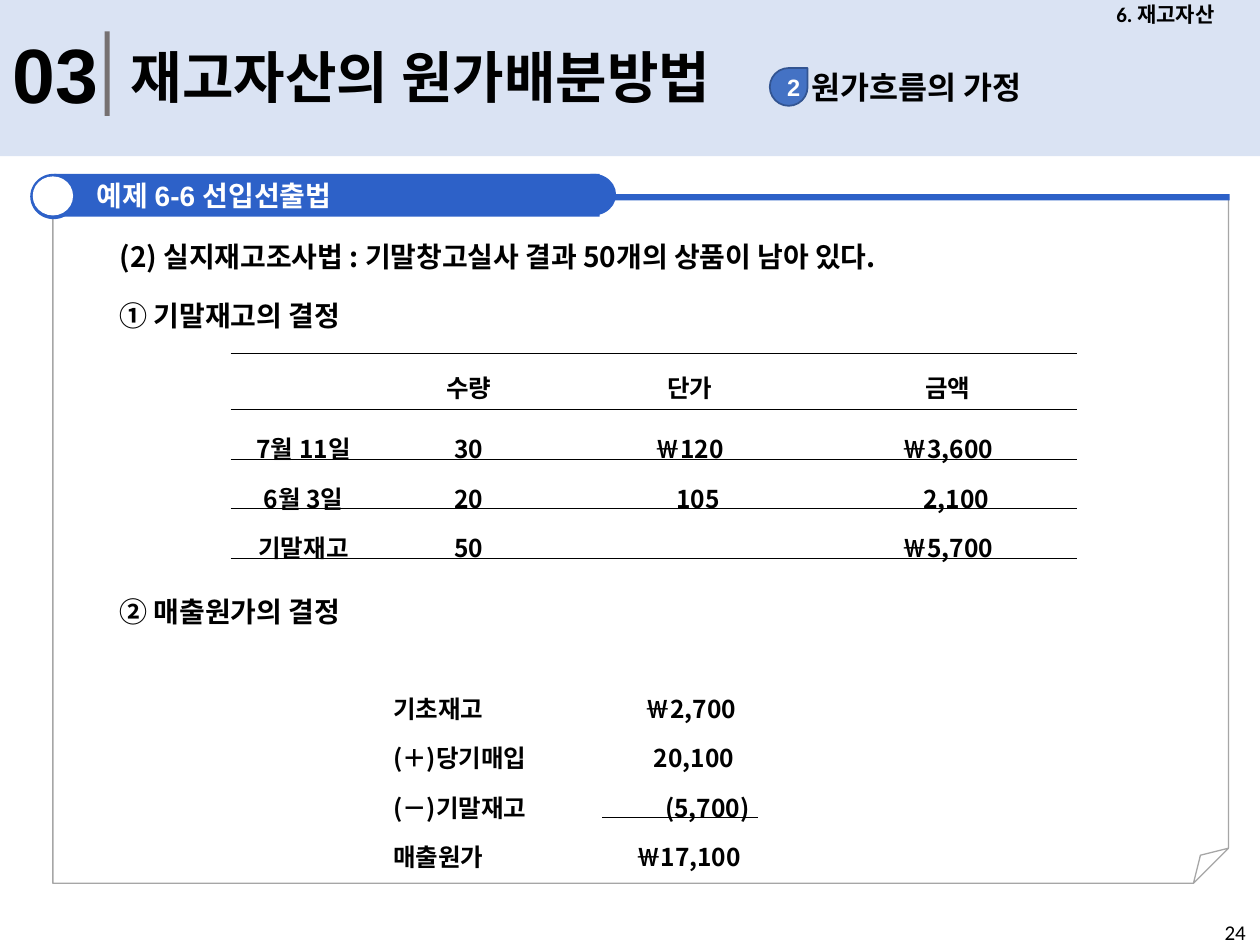
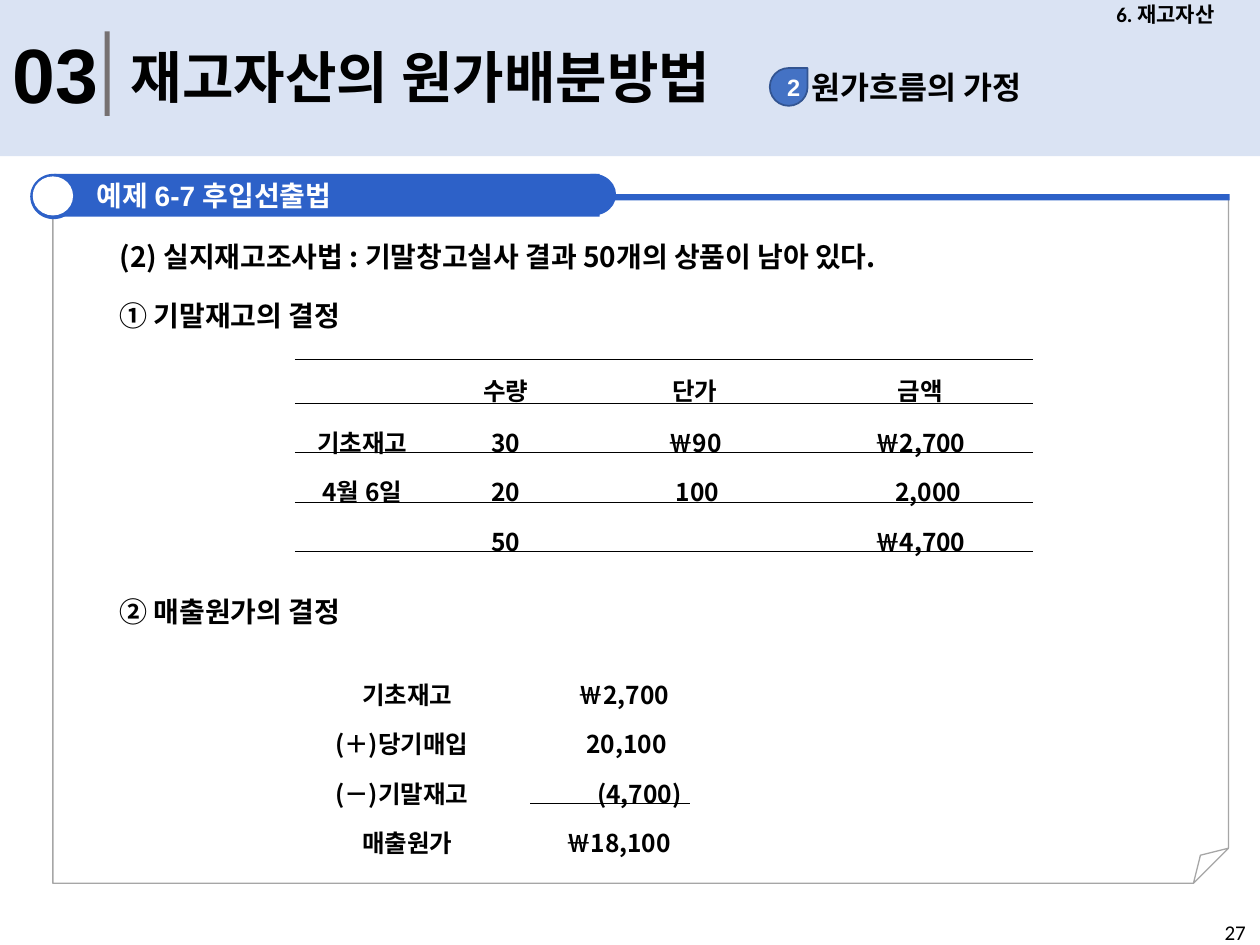
import pptx
import pptx.dml.color
import pptx.enum.shapes
import pptx.enum.text
import pptx.oxml
import pptx.oxml.ns
import pptx.util
from pptx.util import Inches

SHAPE = pptx.enum.shapes.MSO_SHAPE
ALIGN = pptx.enum.text.PP_ALIGN
MIDDLE = pptx.enum.text.MSO_ANCHOR.MIDDLE

COLORS = {
    "band": "DAE3F3", "badge": "4472C4", "badge_line": "325491", "rule": "767171",
    "accent": "2D61C8", "frame": "A6A6A6", "text": "000000", "white": "FFFFFF",
}
KOREAN = "Noto Sans CJK KR"
NO_GRID_STYLE = "{2D5ABB26-0587-4C30-8999-92F81FD0307C}"
SPACE_WIDTH = 0.043

EXAMPLES = [
    {
        "method": "6-6 선입선출법", "page": 24,
        "inventory": {
            "at": (1.83, 2.8), "columns": [1.16, 1.46, 2.05, 2.05], "header_height": 0.45,
            "rows": [
                ["", "수량", "단가", "금액"],
                ["7월 11일", "30", "￦120", "￦3,600"],
                ["6월 3일", "20", "105", "2,100"],
                ["기말재고", "50", "", "￦5,700"],
            ],
            "shifts": {(2, 2): 3, (2, 3): 3},
        },
        "cost": {
            "at": (3.05, 5.31), "columns": [1.73, 1.24],
            "amounts": ["￦2,700", "20,100", "(5,700)", "￦17,100"],
            "shifts": {(0, 1): 4, (1, 1): 5, (3, 1): 3},
        },
    },
    {
        "method": "6-7 후입선출법", "page": 27,
        "inventory": {
            "at": (2.34, 2.85), "columns": [1.07, 1.21, 1.79, 1.79], "header_height": 0.35,
            "rows": [
                ["", "수량", "단가", "금액"],
                ["기초재고", "30", "￦90", "￦2,700"],
                ["4월 6일", "20", "100", "2,000"],
                ["", "50", "", "￦4,700"],
            ],
            "shifts": {(2, 2): 1, (2, 3): 3},
        },
        "cost": {
            "at": (2.59, 5.2), "columns": [1.62, 1.27],
            "amounts": ["￦2,700", "20,100", "(4,700)", "￦18,100"],
            "shifts": {(0, 0): 5, (3, 0): 5, (0, 1): 5, (1, 1): 6, (3, 1): 3},
        },
    },
]
COST_LABELS = ["기초재고", "(＋)당기매입", "(－)기말재고", "매출원가"]


def rgb(name):
    return pptx.dml.color.RGBColor.from_string(COLORS[name])


def format_run(run, size, font=KOREAN, color="text", bold=True):
    run.font.size = pptx.util.Pt(size)
    run.font.bold = bold
    run.font.name = font
    run.font.color.rgb = rgb(color)
    east_asian = pptx.oxml.parse_xml(
        f'<a:ea {pptx.oxml.ns.nsdecls("a")} typeface="{KOREAN}"/>')
    run.font._element.find(pptx.oxml.ns.qn("a:latin")).addnext(east_asian)


def add_shape(slide, kind, box, fill=None, line=None, line_width=1):
    shape = slide.shapes.add_shape(kind, *map(Inches, box))
    shape.shadow.inherit = False
    if fill:
        shape.fill.solid()
        shape.fill.fore_color.rgb = rgb(fill)
    else:
        shape.fill.background()
    if line:
        shape.line.color.rgb = rgb(line)
        shape.line.width = pptx.util.Pt(line_width)
    else:
        shape.line.fill.background()
    return shape


def add_text(slide, box, text, size, font=KOREAN, bold=True):
    text_box = slide.shapes.add_textbox(*map(Inches, box))
    text_frame = text_box.text_frame
    text_frame.word_wrap = True
    text_frame.text = text
    for paragraph in text_frame.paragraphs:
        format_run(paragraph.runs[0], size, font, bold=bold)
    return text_frame


def add_header(slide, left, top, width, height):
    add_shape(slide, SHAPE.RECTANGLE, (left, top, width, height), "band")
    add_text(slide, (left + 6.34, top + 0.49, 3.09, 0.4), "원가흐름의 가정", 18)

    badge = add_shape(slide, SHAPE.TEAR, (left + 6.11, top + 0.54, 0.3, 0.3),
                      "badge", "badge_line")
    text_frame = badge.text_frame
    text_frame.margin_left = Inches(0.08)
    text_frame.margin_right = text_frame.margin_top = text_frame.margin_bottom = 0
    text_frame.word_wrap = False
    text_frame.vertical_anchor = MIDDLE
    text_frame.text = "2"
    text_frame.paragraphs[0].alignment = ALIGN.CENTER
    format_run(text_frame.paragraphs[0].runs[0], 13.5, "Arial", "white")

    add_text(slide, (left, top + 0.16, 0.91, 0.84), "03", 44, "Arial")
    add_shape(slide, SHAPE.RECTANGLE, (left + 0.83, top + 0.25, 0.04, 0.67), "rule")
    add_text(slide, (left + 0.94, top + 0.29, 6.58, 0.64),
             "재고자산의 원가배분방법", 32, "Calibri")
    chapter = add_text(slide, (left + 8.5, top, 1.5, 0.23), "6. 재고자산", 12, "Calibri")
    chapter.vertical_anchor = MIDDLE
    chapter.paragraphs[0].alignment = ALIGN.CENTER


def add_example_frame(slide, left, top, width, height, method):
    """Folded page with the example's title tab on its upper edge."""
    page = add_shape(slide, SHAPE.FOLDED_CORNER,
                     (left + 0.18, top + 0.18, width, height), line="frame", line_width=0.75)
    geometry = page._element.spPr.find(pptx.oxml.ns.qn("a:prstGeom"))
    geometry.get_or_add_avLst().append(pptx.oxml.parse_xml(
        f'<a:gd {pptx.oxml.ns.nsdecls("a")} name="adj" fmla="val 5100"/>'))
    add_shape(slide, SHAPE.RECTANGLE, (left + 0.19, top + 0.16, width, 0.05), "accent")
    add_shape(slide, SHAPE.OVAL, (left, top, 0.37, 0.36), "accent")
    add_shape(slide, SHAPE.OVAL, (left + 4.29, top, 0.36, 0.33), "accent")
    tab = add_shape(slide, SHAPE.RECTANGLE, (left + 0.19, top, 4.33, 0.34), "accent")
    add_shape(slide, SHAPE.OVAL, (left + 0.02, top + 0.02, 0.32, 0.31), "white")

    tab.text_frame.margin_left = Inches(0.34)
    tab.text_frame.vertical_anchor = MIDDLE
    paragraph = tab.text_frame.paragraphs[0]
    paragraph.alignment = ALIGN.LEFT
    for text, font in [("예제 ", "Calibri"), (method, "Arial")]:
        run = paragraph.add_run()
        run.text = text
        format_run(run, 16, font, "white")


def add_steps(slide, left, top, width, height):
    steps = ["(2) 실지재고조사법 : 기말창고실사 결과 50개의 상품이 남아 있다.",
             "① 기말재고의 결정", "② 매출원가의 결정"]
    text_frame = add_text(slide, (left, top, width, height), "\n".join(steps), 16)
    text_frame.margin_left = text_frame.margin_right = Inches(0.11)
    for paragraph, gap in zip(text_frame.paragraphs[1:], [14.5, 150]):
        paragraph.space_before = pptx.util.Pt(gap)


def add_border(cell, side):
    cell._tc.get_or_add_tcPr().append(pptx.oxml.parse_xml(
        f'<a:ln{side} {pptx.oxml.ns.nsdecls("a")} w="3556"><a:solidFill>'
        f'<a:srgbClr val="{COLORS["text"]}"/></a:solidFill></a:ln{side}>'))


def add_ruled_table(slide, at, columns, heights, rows, shifts, align, line_spacing, borders):
    """Table with rules only; align(row, column) and line_spacing(row) style the text,
    borders(row, column) names the ruled sides, and shifts push text right by spaces."""
    frame = slide.shapes.add_table(len(rows), len(columns), *map(
        Inches, (*at, sum(columns), sum(heights))))
    table = frame.table
    table.first_row = table.horz_banding = False
    table._tbl.tblPr.find(pptx.oxml.ns.qn("a:tableStyleId")).text = NO_GRID_STYLE
    for column, width in zip(table.columns, columns):
        column.width = Inches(width)
    for row, height in zip(table.rows, heights):
        row.height = Inches(height)
    for row, texts in enumerate(rows):
        for column, text in enumerate(texts):
            cell = table.cell(row, column)
            for side in borders(row, column):
                add_border(cell, side)
            cell.fill.background()
            cell.vertical_anchor = MIDDLE
            cell.margin_left = Inches(0.07 + SPACE_WIDTH * shifts.get((row, column), 0))
            cell.margin_right = Inches(0.07)
            cell.margin_top = cell.margin_bottom = Inches(0.02)
            if text:
                cell.text_frame.text = text
                paragraph = cell.text_frame.paragraphs[0]
                paragraph.alignment = align(row, column)
                paragraph.line_spacing = line_spacing(row)
                format_run(paragraph.runs[0], 14)


def add_inventory_table(slide, at, columns, header_height, rows, shifts):
    sides = ["TB", "T", "B", "TB"]
    add_ruled_table(slide, at, columns, [header_height] + [0.39] * 3, rows, shifts,
                    align=lambda row, column: ALIGN.CENTER,
                    line_spacing=lambda row: 1.51 if row else 1.3,
                    borders=lambda row, column: sides[row])


def add_cost_table(slide, at, columns, amounts, shifts):
    def align(row, column):
        if column == 0:
            return ALIGN.JUSTIFY
        return ALIGN.RIGHT if row == 2 else ALIGN.CENTER

    add_ruled_table(slide, at, columns, [0.39] * 4, list(zip(COST_LABELS, amounts)), shifts,
                    align=align,
                    line_spacing=lambda row: 1.51,
                    borders=lambda row, column: {(2, 1): "B", (3, 1): "T"}.get(
                        (row, column), ""))


def add_page_number(slide, left, top, width, height, number):
    text_frame = add_text(slide, (left, top, width, height), str(number), 12,
                          "Calibri", bold=False)
    text_frame.margin_right = 0


def add_example_slide(presentation, example):
    slide = presentation.slides.add_slide(presentation.slide_layouts[6])
    add_header(slide, 0, 0, 10, 1.24)
    add_example_frame(slide, 0.24, 1.38, 9.33, 5.45, example["method"])
    add_steps(slide, 0.84, 1.85, 8.5, 4.95)
    add_inventory_table(slide, **example["inventory"])
    add_cost_table(slide, **example["cost"])
    add_page_number(slide, 9.62, 7.25, 0.38, 0.25, example["page"])


def main():
    presentation = pptx.Presentation()
    presentation.slide_width = Inches(10)
    presentation.slide_height = Inches(7.5)
    for example in EXAMPLES:
        add_example_slide(presentation, example)
    presentation.save("out.pptx")


if __name__ == "__main__":
    main()
